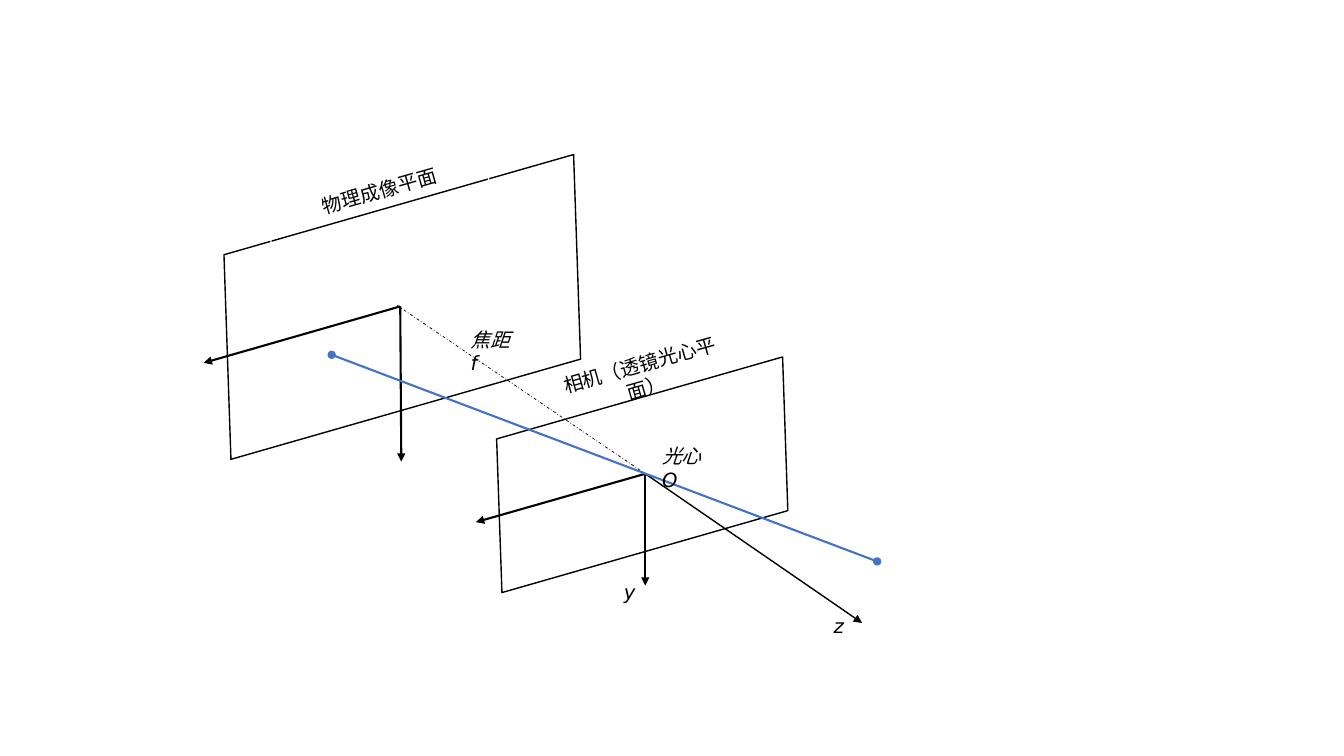
from typing import NamedTuple, Optional

from lxml import etree
from pptx import Presentation
from pptx.dml.color import RGBColor
from pptx.enum.dml import MSO_LINE
from pptx.enum.shapes import MSO_CONNECTOR, MSO_SHAPE
from pptx.enum.text import MSO_ANCHOR, PP_ALIGN
from pptx.oxml.ns import qn
from pptx.util import Inches, Pt

PARALLELOGRAM = MSO_SHAPE.PARALLELOGRAM
STRAIGHT = MSO_CONNECTOR.STRAIGHT
DASH_DOT = MSO_LINE.DASH_DOT
MIDDLE, CENTER = MSO_ANCHOR.MIDDLE, PP_ALIGN.CENTER

BLACK = RGBColor(0x00, 0x00, 0x00)
WHITE = RGBColor(0xFF, 0xFF, 0xFF)
RAY_BLUE = RGBColor(0x44, 0x72, 0xC4)
TILT = -16
Point = tuple[float, float]


class Plane(NamedTuple):
    left: float
    top: float
    width: float
    height: float
    fill: Optional[RGBColor] = None
    outline: Optional[RGBColor] = None
    title: str = ""


class Ray(NamedTuple):
    start: Point
    end: Point
    weight: float = 1.5
    color: RGBColor = BLACK
    head: str = ""
    tail: str = "triangle"
    dash: Optional[MSO_LINE] = None


class Symbol(NamedTuple):
    text: str
    left: float
    top: float
    width: float
    wraps: bool = False


OPTICAL_CENTER = (6.4, 4.7)
IMAGE_CENTER = (3.97, 3.04)

PLANES = [
    Plane(1.94, 2.06, 4.1, 1.97, WHITE, BLACK),
    Plane(4.71, 3.97, 3.32, 1.48, WHITE, BLACK),
    Plane(2.57, 1.62, 2.38, 0.54, outline=WHITE, title="物理成像平面"),
    Plane(5.02, 3.46, 2.71, 0.54, title="相机（透镜光心平面）"),
]
RAYS = [
    Ray(IMAGE_CENTER, (2.02, 3.6)),
    Ray(IMAGE_CENTER, (3.98, 4.58)),
    Ray(OPTICAL_CENTER, (4.72, 5.18)),
    Ray(OPTICAL_CENTER, (6.4, 5.81)),
    Ray((3.94, 3.03), OPTICAL_CENTER, 0.5, tail="", dash=DASH_DOT),
    Ray(OPTICAL_CENTER, (8.55, 6.18), 1),
    Ray((3.29, 3.52), (8.7, 5.57), color=RAY_BLUE, head="oval", tail="oval"),
]
SYMBOLS = [
    Symbol("y", 6.09, 5.7, 0.31),
    Symbol("光心O", 6.47, 4.36, 0.7, wraps=True),
    Symbol("焦距f", 4.57, 3.2, 0.61, wraps=True),
    Symbol("z", 8.17, 6.04, 0.3),
]


def write(frame, text: str, font_name: str, italic: bool = False) -> None:
    paragraph = frame.paragraphs[0]
    paragraph.text = text
    font = paragraph.font
    for attribute, value in {"name": font_name, "size": Pt(14), "italic": italic}.items():
        setattr(font, attribute, value)
    font.color.rgb = BLACK


def draw_plane(slide, plane: Plane) -> None:
    shape = slide.shapes.add_shape(PARALLELOGRAM, *map(Inches, plane[:4]))
    shape.rotation = TILT
    shape.shadow.inherit = False
    for paint, color in ((shape.fill, plane.fill), (shape.line.fill, plane.outline)):
        if color is None:
            paint.background()
        else:
            paint.solid()
            paint.fore_color.rgb = color
    if plane.outline is not None:
        shape.line.width = Pt(1)
    if plane.title:
        frame = shape.text_frame
        frame.word_wrap = True
        frame.vertical_anchor = MIDDLE
        write(frame, plane.title, "Arial")
        frame.paragraphs[0].alignment = CENTER


def draw_ray(slide, ray: Ray) -> None:
    connector = slide.shapes.add_connector(STRAIGHT, *map(Inches, ray.start + ray.end))
    line = connector.line
    line.color.rgb = ray.color
    line.width = Pt(ray.weight)
    if ray.dash is not None:
        line.dash_style = ray.dash
    properties = connector._element.spPr
    outline = properties.find(qn("a:ln"))
    for tag, kind in (("a:headEnd", ray.head), ("a:tailEnd", ray.tail)):
        if kind:
            etree.SubElement(outline, qn(tag), type=kind)
    etree.SubElement(properties, qn("a:effectLst"))


def draw_symbol(slide, symbol: Symbol) -> None:
    box = slide.shapes.add_textbox(
        Inches(symbol.left), Inches(symbol.top), Inches(symbol.width), Inches(0.34)
    )
    box.text_frame.word_wrap = symbol.wraps
    write(box.text_frame, symbol.text, "DejaVu Sans", italic=True)


def main() -> None:
    presentation = Presentation()
    presentation.slide_width = Inches(13.33)
    presentation.slide_height = Inches(7.5)
    slide = presentation.slides.add_slide(presentation.slide_layouts[6])
    for plane in PLANES:
        draw_plane(slide, plane)
    for ray in RAYS:
        draw_ray(slide, ray)
    for symbol in SYMBOLS:
        draw_symbol(slide, symbol)
    presentation.save("out.pptx")


if __name__ == "__main__":
    main()
